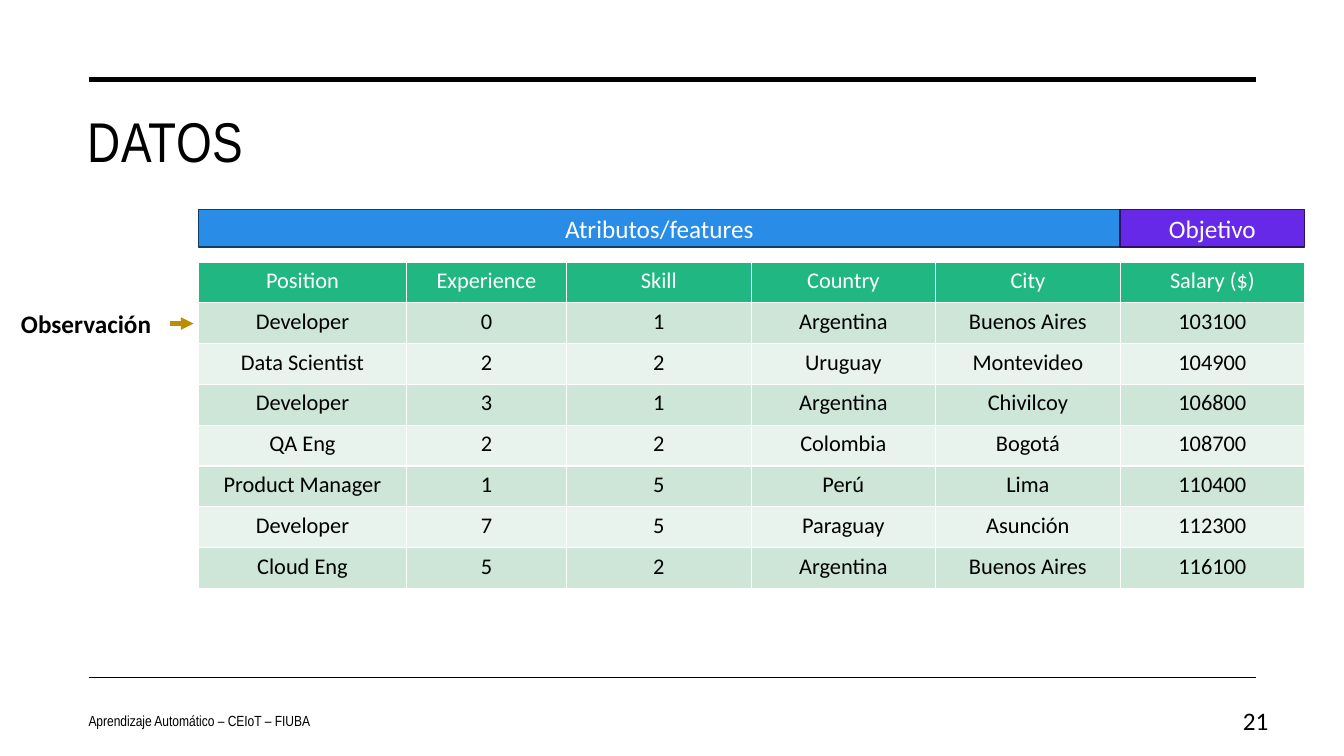
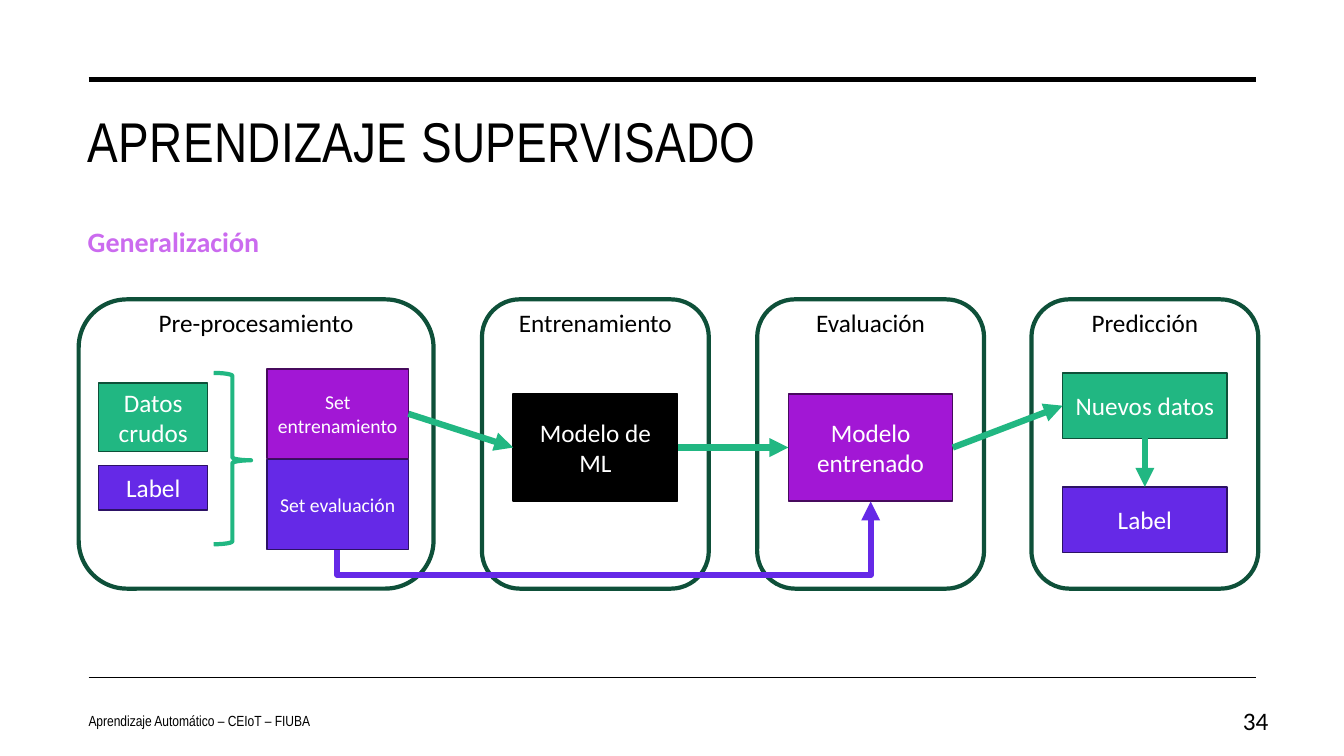
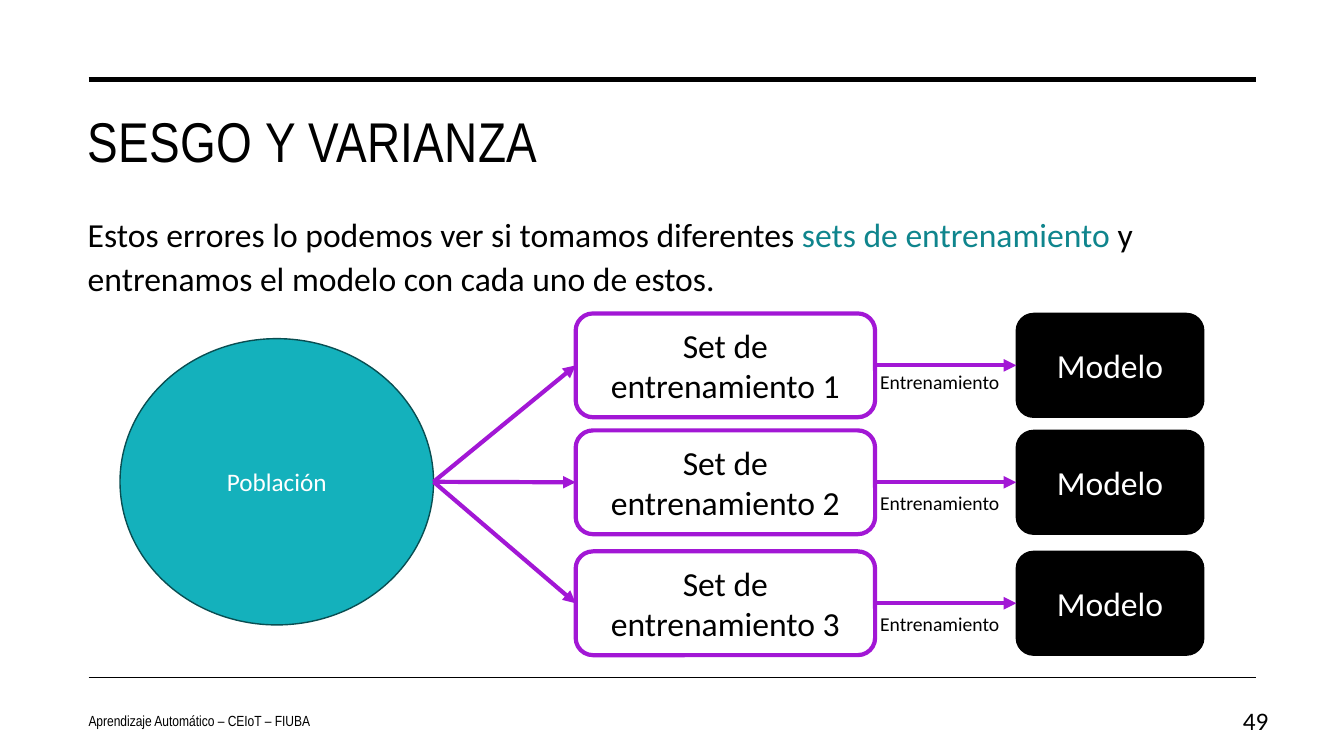
import dataclasses

import pptx
import pptx.dml.color
import pptx.enum.shapes
import pptx.enum.text
import pptx.oxml.ns
import pptx.oxml.xmlchemy
import pptx.util

Inches = pptx.util.Inches
Pt = pptx.util.Pt
qn = pptx.oxml.ns.qn
new_element = pptx.oxml.xmlchemy.OxmlElement
Shape = pptx.enum.shapes.MSO_SHAPE
Connector = pptx.enum.shapes.MSO_CONNECTOR
Align = pptx.enum.text.PP_ALIGN
Anchor = pptx.enum.text.MSO_ANCHOR

TOP, LEFT, BOTTOM, RIGHT = range(4)


@dataclasses.dataclass(frozen=True)
class Theme:
    heading_font: str = "Arial Narrow"
    text_font: str = "Calibri"
    black: str = "000000"
    white: str = "FFFFFF"
    green: str = "21B782"
    dark_green: str = "0E5039"
    band_dark: str = "CDE6D8"
    band_light: str = "E8F3ED"
    blue: str = "298CE7"
    dark_blue: str = "123D65"
    violet: str = "6529E7"
    dark_violet: str = "2C1265"
    purple: str = "A217D5"
    dark_purple: str = "470A5D"
    lilac: str = "CB6BEF"
    gold: str = "BA8E00"
    teal: str = "14B1BC"
    dark_teal: str = "094E52"
    teal_text: str = "0F858D"
    title_size: float = 40
    large: float = 24
    subtitle: float = 20
    normal: float = 18
    cell: float = 16
    small: float = 14
    footer: float = 10.5


THEME = Theme()
FOOTER = "Aprendizaje Automático – CEIoT – FIUBA"
SALARIES = [
    ("Position", "Experience", "Skill", "Country", "City", "Salary ($)"),
    ("Developer", "0", "1", "Argentina", "Buenos Aires", "103100"),
    ("Data Scientist", "2", "2", "Uruguay", "Montevideo", "104900"),
    ("Developer", "3", "1", "Argentina", "Chivilcoy", "106800"),
    ("QA Eng", "2", "2", "Colombia", "Bogotá", "108700"),
    ("Product Manager", "1", "5", "Perú", "Lima", "110400"),
    ("Developer", "7", "5", "Paraguay", "Asunción", "112300"),
    ("Cloud Eng", "5", "2", "Argentina", "Buenos Aires", "116100"),
]


def rgb(color):
    return pptx.dml.color.RGBColor.from_string(color)


def inches(values):
    return [Inches(value) for value in values]


def write(frame, text, size=THEME.normal, color=THEME.black, font=THEME.text_font,
          bold=False, align=Align.LEFT, anchor=Anchor.TOP, spacing=None, tracking=None):
    frame.word_wrap = True
    frame.auto_size = pptx.enum.text.MSO_AUTO_SIZE.NONE
    frame.vertical_anchor = anchor
    paragraph = frame.paragraphs[0]
    paragraph.alignment = align
    if spacing:
        paragraph.line_spacing = spacing
    pieces = [(text, color)] if isinstance(text, str) else text
    for words, shade in pieces:
        run = paragraph.add_run()
        run.text = words
        run.font.name = font
        run.font.size = Pt(size)
        run.font.bold = bold
        run.font.color.rgb = rgb(shade)
        if tracking:
            run.font._element.set("spc", str(tracking))


def add_label(slide, box, text, **style):
    write(slide.shapes.add_textbox(*inches(box)).text_frame, text, **style)


def add_block(slide, kind, box, text="", fill=None, outline=THEME.black, weight=1,
              color=THEME.white, size=THEME.normal):
    block = slide.shapes.add_shape(kind, *inches(box))
    block.shadow.inherit = False
    if fill:
        block.fill.solid()
        block.fill.fore_color.rgb = rgb(fill)
    else:
        block.fill.background()
    block.line.color.rgb = rgb(outline)
    block.line.width = Pt(weight)
    if text:
        write(block.text_frame, text, size=size, color=color,
              align=Align.CENTER, anchor=Anchor.MIDDLE)
    return block


def add_line(slide, start, end, color=THEME.black, weight=1.0, arrow=True,
             kind=Connector.STRAIGHT):
    line = slide.shapes.add_connector(kind, *inches(start + end))
    line.line.color.rgb = rgb(color)
    line.line.width = Pt(weight)
    properties = line.element.spPr
    if arrow:
        head = new_element("a:tailEnd")
        head.set("type", "triangle")
        properties.find(qn("a:ln")).append(head)
    properties.append(new_element("a:effectLst"))
    return line


def link(slide, source, target, color, weight, leave=RIGHT, enter=LEFT):
    line = add_line(slide, (0, 0), (1, 1), color, weight)
    line.begin_connect(source, leave)
    line.end_connect(target, enter)


def add_master_rules(presentation, slide):
    for number, (y, weight) in enumerate([(0.79, 3.5), (6.72, 1)], 101):
        rule = add_line(slide, (0.88, y), (12.46, y), weight=weight, arrow=False)
        rule.element.nvCxnSpPr.cNvPr.set("id", str(number))
        presentation.slide_master.shapes.element.append(rule.element)


def place(placeholder, box):
    placeholder.left, placeholder.top, placeholder.width, placeholder.height = inches(box)


def add_page(presentation, layout, title, number):
    slide = presentation.slides.add_slide(presentation.slide_layouts[layout])
    place(slide.shapes.title, (0.77, 1.01, 11.69, 1.5))
    write(slide.shapes.title.text_frame, title, size=THEME.title_size,
          font=THEME.heading_font, tracking=30)
    add_label(slide, (11.94, 6.95, 0.74, 0.4), number,
              align=Align.RIGHT, anchor=Anchor.MIDDLE)
    add_label(slide, (0.78, 6.95, 4.96, 0.4), FOOTER, size=THEME.footer,
              font=THEME.heading_font, anchor=Anchor.MIDDLE)
    return slide


def fill_body(slide, box, text, **style):
    body = slide.placeholders[1]
    place(body, box)
    paragraph = body.text_frame.paragraphs[0]
    properties = paragraph._p.get_or_add_pPr()
    properties.set("marL", "0")
    properties.set("indent", "0")
    properties.append(new_element("a:buNone"))
    paragraph.space_before = Pt(0)
    write(body.text_frame, text, spacing=1.1, **style)


def add_cell_borders(cell, color, weight):
    properties = cell._tc.get_or_add_tcPr()
    for side in ("a:lnL", "a:lnR", "a:lnT", "a:lnB"):
        border = new_element(side)
        border.set("w", str(Pt(weight)))
        paint = new_element("a:solidFill")
        shade = new_element("a:srgbClr")
        shade.set("val", color)
        paint.append(shade)
        border.append(paint)
        properties.append(border)


def add_salary_table(slide, left, top, widths, row_height):
    box = inches((left, top, sum(widths), row_height * len(SALARIES)))
    table = slide.shapes.add_table(len(SALARIES), len(widths), *box).table
    table.horz_banding = False
    for column, width in zip(table.columns, widths):
        column.width = Inches(width)
    for r, values in enumerate(SALARIES):
        table.rows[r].height = box[3] // len(SALARIES)
        band = THEME.band_dark if r % 2 else THEME.band_light
        for c, value in enumerate(values):
            cell = table.cell(r, c)
            add_cell_borders(cell, THEME.white, 1)
            cell.fill.solid()
            cell.fill.fore_color.rgb = rgb(band if r else THEME.green)
            cell.vertical_anchor = Anchor.TOP
            write_cell(cell, value, THEME.black if r else THEME.white)


def write_cell(cell, value, color):
    paragraph = cell.text_frame.paragraphs[0]
    paragraph.alignment = Align.CENTER
    run = paragraph.add_run()
    run.text = value
    run.font.name = THEME.text_font
    run.font.size = Pt(THEME.cell)
    run.font.bold = False
    run.font.color.rgb = rgb(color)


def build_data(slide):
    left, widths = 1.97, [2.06, 1.59] + [1.83] * 4
    add_salary_table(slide, left, 2.6, widths, 3.24 / len(SALARIES))
    add_label(slide, (0.11, 3.01, 1.58, 0.4), "Observación", bold=True)
    add_line(slide, (1.69, 3.21), (1.92, 3.21), THEME.gold, 3)
    features = sum(widths[:-1])
    add_block(slide, Shape.RECTANGLE, (left, 2.08, features, 0.37),
              "Atributos/features", THEME.blue, THEME.dark_blue)
    add_block(slide, Shape.RECTANGLE, (left + features, 2.08, widths[-1], 0.37),
              "Objetivo", THEME.violet, THEME.dark_violet)


def add_feedback_arrow(slide):
    arrow = add_line(slide, (6.23, 7.86), (5.75, 2.57), THEME.violet, 4.5,
                     kind=Connector.ELBOW)
    properties = arrow.element.spPr
    properties.find(qn("a:xfrm")).set("rot", "5400000")
    bend = new_element("a:gd")
    bend.set("name", "adj1")
    bend.set("fmla", "val -51900")
    properties.find(qn("a:prstGeom")).get_or_add_avLst().append(bend)


def build_supervised(slide):
    fill_body(slide, (0.77, 2.14, 11.91, 4.34), "Generalización",
              size=THEME.subtitle, color=THEME.lilac, bold=True)
    for name, left, width in [("Pre-procesamiento", 0.78, 3.52),
                              ("Entrenamiento", 4.78, 2.25),
                              ("Evaluación", 7.51, 2.25),
                              ("Predicción", 10.23, 2.25)]:
        add_block(slide, Shape.ROUNDED_RECTANGLE, (left, 2.97, width, 2.87),
                  outline=THEME.dark_green, weight=3)
        add_label(slide, (left, 3, width, 0.4), name, align=Align.CENTER)

    green = (THEME.green, THEME.dark_green)
    violet = (THEME.violet, THEME.dark_violet)
    purple = (THEME.purple, THEME.dark_purple)
    black = (THEME.black, THEME.black)

    def step(box, text, colors, size=THEME.normal):
        return add_block(slide, Shape.RECTANGLE, box, text, *colors, size=size)

    step((0.98, 3.8, 1.08, 0.68), "Datos crudos", green)
    step((0.98, 4.62, 1.08, 0.44), "Label", violet)
    step((2.65, 4.56, 1.4, 0.89), "Set evaluación", violet, THEME.small)
    training = step((2.65, 3.66, 1.4, 0.89), "Set entrenamiento", purple, THEME.small)
    model = step((5.09, 3.91, 1.63, 1.06), "Modelo de ML", black)
    trained = step((7.82, 3.91, 1.63, 1.06), "Modelo entrenado", purple)
    new_data = step((10.54, 3.7, 1.63, 0.65), "Nuevos datos", green)
    predicted = step((10.54, 4.83, 1.63, 0.65), "Label", violet)

    brace = add_block(slide, Shape.RIGHT_BRACE, (2.12, 3.7, 0.37, 1.7),
                      outline=THEME.green, weight=3)
    brace.adjustments[0] = 0.08
    brace.adjustments[1] = 0.51
    for source, target in [(training, model), (model, trained), (trained, new_data)]:
        link(slide, source, target, THEME.green, 4.5)
    link(slide, new_data, predicted, THEME.green, 4.5, leave=BOTTOM, enter=TOP)
    add_feedback_arrow(slide)


def build_bias(slide):
    fill_body(slide, (0.77, 2.03, 11.69, 4.74),
              [("Estos errores lo podemos ver si tomamos diferentes ", THEME.black),
               ("sets de entrenamiento ", THEME.teal_text),
               ("y entrenamos el modelo con cada uno de estos.", THEME.black)],
              size=THEME.large)
    add_block(slide, Shape.OVAL, (1.19, 3.36, 3.11, 2.84), "Población",
              THEME.teal, THEME.dark_teal)
    height = 1.03
    for index, top in enumerate([3.11, 4.27, 5.47]):
        sample = add_block(slide, Shape.ROUNDED_RECTANGLE, (5.71, top, 2.97, height),
                           f"Set de entrenamiento {index + 1}", THEME.white,
                           THEME.purple, 3, THEME.black, THEME.large)
        model = add_block(slide, Shape.ROUNDED_RECTANGLE, (10.08, top, 1.86, height),
                          "Modelo", THEME.black, size=THEME.large)
        add_line(slide, (4.3, 4.78), (5.71, top + height / 2), THEME.purple, 3)
        link(slide, sample, model, THEME.purple, 3)
        add_label(slide, (8.63, 3.62 + 1.2 * index, 1.45, 0.34), "Entrenamiento",
                  size=THEME.small)


def main():
    presentation = pptx.Presentation()
    presentation.slide_width = Inches(13.33)
    presentation.slide_height = Inches(7.5)
    data = add_page(presentation, 5, "DATOS", "21")
    add_master_rules(presentation, data)
    build_data(data)
    build_supervised(add_page(presentation, 1, "APRENDIZAJE SUPERVISADO", "34"))
    build_bias(add_page(presentation, 1, "SESGO Y VARIANZA", "49"))
    presentation.save("out.pptx")


if __name__ == "__main__":
    main()
